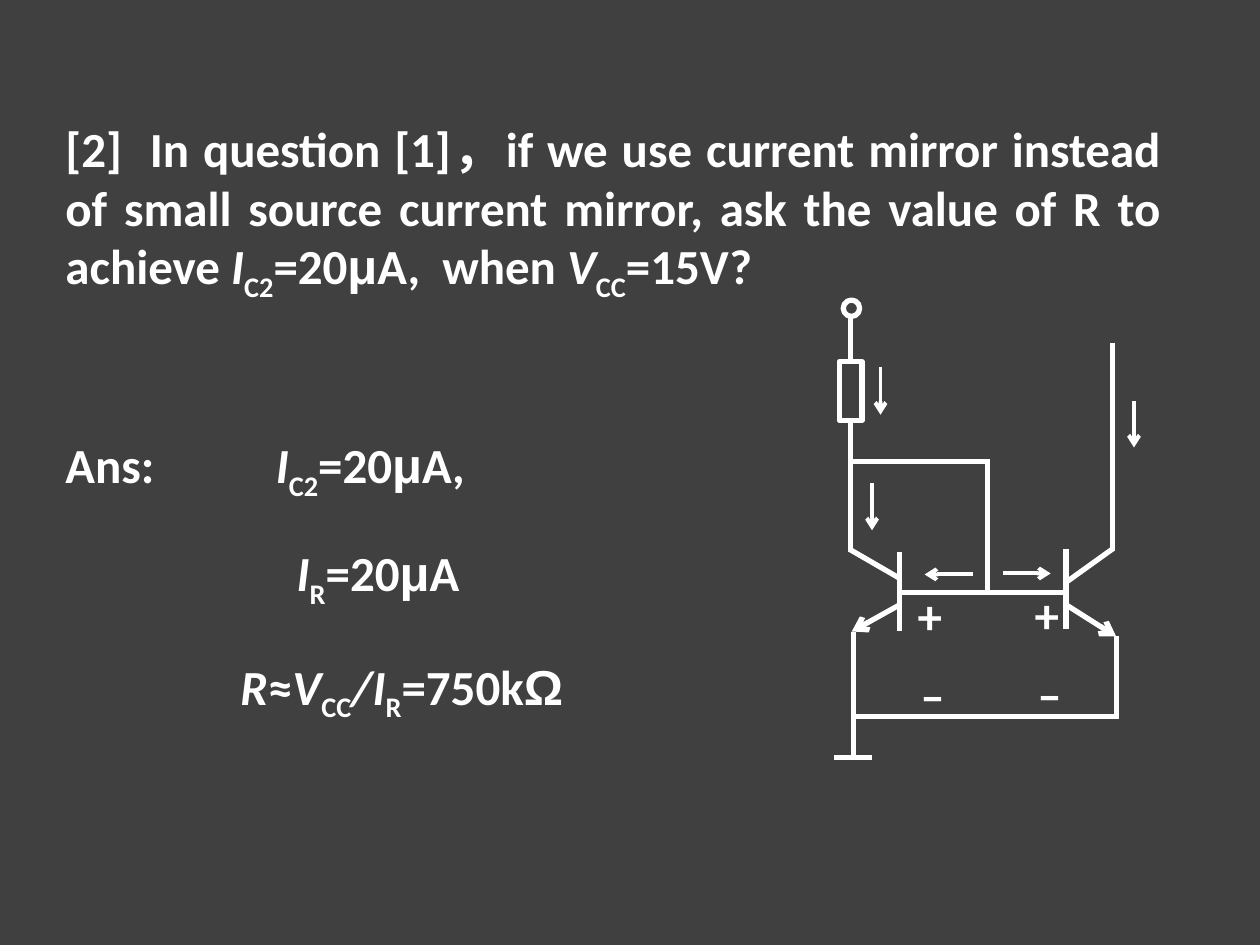
import pptx
import pptx.util
import pptx.dml.color
import pptx.enum.shapes
import pptx.enum.text
import pptx.oxml.ns
from lxml import etree

Cm = pptx.util.Cm
Pt = pptx.util.Pt
ALIGN = pptx.enum.text.PP_ALIGN
SHAPE = pptx.enum.shapes.MSO_SHAPE
WHITE = pptx.dml.color.RGBColor(0xFF, 0xFF, 0xFF)
GREY = pptx.dml.color.RGBColor(0x40, 0x40, 0x40)

WIRES = [
    (22.45, 11.05, 21.46, 11.76),
    (17.12, 11.07, 18.14, 11.66),
    (18.14, 12.73, 18.14, 11.13),
    (21.49, 12.67, 21.49, 11.07),
    (22.53, 14.45, 17.15, 14.45),
    (17.2, 15.24, 17.2, 12.75),
    (22.5, 14.5, 22.5, 12.83),
    (16.81, 15.27, 17.58, 15.27),
    (21.49, 11.94, 18.14, 11.94),
    (17.15, 11.13, 17.15, 8.53),
    (22.43, 11.1, 22.43, 6.91),
    (19.91, 11.94, 19.91, 9.25),
    (19.91, 9.3, 17.2, 9.3),
    (17.15, 7.29, 17.15, 6.38),
]
EMITTERS = [(21.49, 12.19, 22.5, 12.83), (18.14, 12.19, 17.17, 12.73)]
CURRENT_ARROWS = [
    (17.75, 7.39, 17.75, 8.36),
    (17.58, 9.73, 17.58, 10.69),
    (22.86, 8.08, 22.86, 9.02),
    (19.61, 11.58, 18.64, 11.58),
    (20.22, 11.56, 21.18, 11.56),
]
SIGNS = [
    ("–", 18.24, 13.28, 1.12),
    ("+", 18.21, 11.68, 1.07),
    ("–", 20.6, 13.26, 1.12),
    ("+", 20.57, 11.66, 1.07),
]

QUESTION = [
    ("[2]  In question [1]，if we use current mirror instead of small source "
     "current mirror, ask the value of R to achieve ", ""),
    ("I", "italic"), ("C2", "sub"), ("=20", ""), ("μ", "greek"), ("A,  when ", ""),
    ("V", "italic"), ("CC", "sub"), ("=15V?", ""),
]
ANSWER = [("Ans:\t", ""), ("I", "italic"), ("C2", "sub"), ("=20", ""),
          ("μ", "greek"), ("A,", "")]
REFERENCE = [("I", "italic"), ("R", "sub"), ("=20", ""), ("μ", "greek"), ("A", "")]
RESISTANCE = [("R", "italic"), ("≈", ""), ("V", "italic"), ("CC", "sub"),
              ("/I", "italic"), ("R", "sub"), ("=750k", ""), ("Ω", "greek")]


def add_text(s, x, y, w, h, runs, align=ALIGN.CENTER, wrap=False, tab=None):
    tf = s.shapes.add_textbox(Cm(x), Cm(y), Cm(w), Cm(h)).text_frame
    tf.word_wrap = wrap
    tf.auto_size = pptx.enum.text.MSO_AUTO_SIZE.SHAPE_TO_FIT_TEXT
    p = tf.paragraphs[0]
    p.alignment = align
    if tab:
        tabs = etree.SubElement(p._p.get_or_add_pPr(), pptx.oxml.ns.qn("a:tabLst"))
        etree.SubElement(tabs, pptx.oxml.ns.qn("a:tab"), pos=str(Cm(tab)), algn="l")
    for text, style in runs:
        r = p.add_run()
        r.text = text
        r.font.size = Pt(28)
        r.font.bold = True
        r.font.italic = style == "italic"
        r.font.name = "Arial" if style == "greek" else "Calibri"
        r.font.color.rgb = WHITE
        if style == "sub":
            r.font._element.set("baseline", "-25000")


def add_line(s, ends, width=3, arrow=False):
    x1, y1, x2, y2 = map(Cm, ends)
    line = s.shapes.add_connector(
        pptx.enum.shapes.MSO_CONNECTOR.STRAIGHT, x1, y1, x2, y2)
    line.line.color.rgb = WHITE
    line.line.width = Pt(width)
    if arrow:
        etree.SubElement(line.line._get_or_add_ln(),
                         pptx.oxml.ns.qn("a:tailEnd"), type="arrow")
    etree.SubElement(line._element.spPr, pptx.oxml.ns.qn("a:effectLst"))


def add_outline(s, kind, x, y, w, h):
    sp = s.shapes.add_shape(kind, Cm(x), Cm(y), Cm(w), Cm(h))
    sp.shadow.inherit = False
    sp.fill.background()
    sp.line.color.rgb = WHITE
    sp.line.width = Pt(3)


def add_circuit(s):
    for ends in WIRES:
        add_line(s, ends)
    for ends in EMITTERS:
        add_line(s, ends, arrow=True)
    add_outline(s, SHAPE.RECTANGLE, 16.92, 7.29, 0.46, 1.19)
    add_outline(s, SHAPE.OVAL, 17, 6.05, 0.33, 0.33)
    for ends in CURRENT_ARROWS:
        add_line(s, ends, 2.25, arrow=True)
    for sign, x, y, w in SIGNS:
        add_text(s, x, y, w, 1.43, [(sign, "")])


def main():
    prs = pptx.Presentation()
    prs.slide_width, prs.slide_height = Cm(25.4), Cm(19.05)
    s = prs.slides.add_slide(prs.slide_layouts[6])
    s.background.fill.solid()
    s.background.fill.fore_color.rgb = GREY
    add_text(s, 1.07, 2.26, 22.58, 4.09, QUESTION, ALIGN.JUSTIFY, wrap=True)
    add_text(s, 1.07, 8.64, 15.39, 1.78, ANSWER, ALIGN.LEFT, wrap=True, tab=4.24)
    add_text(s, 3.73, 13.11, 8.74, 1.42, RESISTANCE)
    add_text(s, 5.41, 10.82, 4.42, 1.42, REFERENCE)
    add_circuit(s)
    prs.save("out.pptx")


if __name__ == "__main__":
    main()
